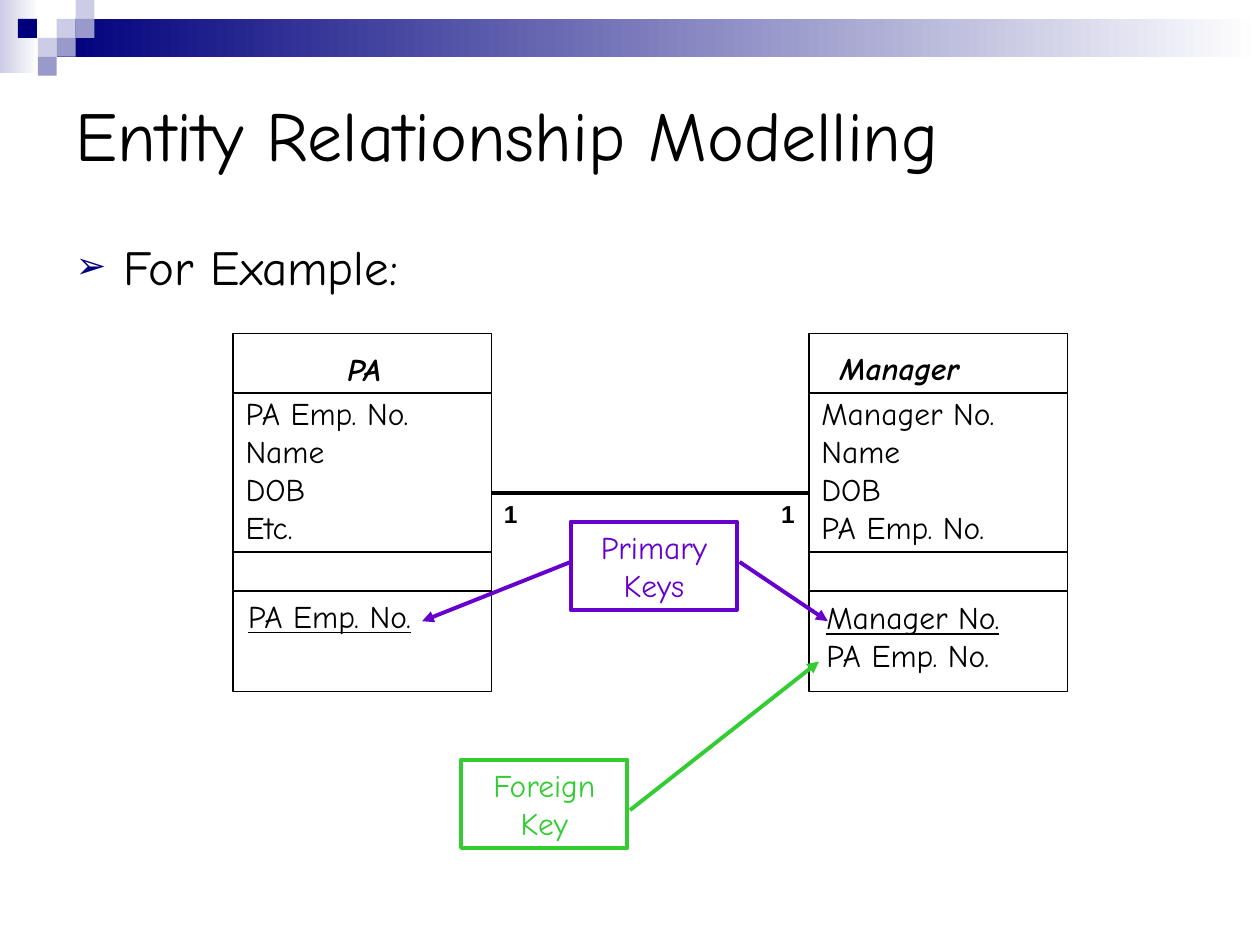
import pptx
import pptx.util
import pptx.dml.color
import pptx.enum.shapes
import pptx.enum.text
import pptx.oxml
import pptx.oxml.ns

Inches = pptx.util.Inches
Pt = pptx.util.Pt
RGBColor = pptx.dml.color.RGBColor
RECTANGLE = pptx.enum.shapes.MSO_SHAPE.RECTANGLE
ALIGN = pptx.enum.text.PP_ALIGN
ANCHOR = pptx.enum.text.MSO_ANCHOR

BLACK = RGBColor(0x00, 0x00, 0x00)
WHITE = RGBColor(0xFF, 0xFF, 0xFF)
NAVY = RGBColor(0x00, 0x00, 0x7D)
LAVENDER = RGBColor(0xCC, 0xCC, 0xE6)
PERIWINKLE = RGBColor(0x99, 0x99, 0xCC)
PURPLE = RGBColor(0x66, 0x00, 0xCC)
GREEN = RGBColor(0x33, 0xCC, 0x33)

HAND_FONT = "Comic Neue"
TILE = 0.15
ENTITY_TOP, ENTITY_WIDTH, ENTITY_HEIGHT = 2.65, 2.05, 2.84
DIVIDERS = (3.12, 4.38, 4.69)


def place(shape, left, top, width, height):
    shape.left, shape.top = Inches(left), Inches(top)
    shape.width, shape.height = Inches(width), Inches(height)


def add_xml(parent, tag, **attributes):
    child = pptx.oxml.parse_xml(f'<{tag} {pptx.oxml.ns.nsdecls("a")}/>')
    for name, value in attributes.items():
        child.set(name, value)
    parent.append(child)
    return child


def write(paragraph, text, size=18, color=BLACK, font=HAND_FONT,
          bold=False, italic=False, underline=False):
    run = paragraph.add_run()
    run.text = text
    run.font.name = font
    run.font.size = Pt(size)
    run.font.color.rgb = color
    run.font.bold, run.font.italic = bold, italic
    run.font.underline = underline


def add_rectangle(slide, left, top, width, height):
    rectangle = slide.shapes.add_shape(
        RECTANGLE, Inches(left), Inches(top), Inches(width), Inches(height))
    rectangle.shadow.inherit = False
    return rectangle


def add_band(slide, left, top, width, height, start, end=None):
    """A borderless block, plain or fading from left to right."""
    band = add_rectangle(slide, left, top, width, height)
    band.line.fill.background()
    if end is None:
        band.fill.solid()
        band.fill.fore_color.rgb = start
    else:
        band.fill.gradient()
        band.fill.gradient_angle = 0
        for stop, color in zip(band.fill.gradient_stops, (start, end)):
            stop.color.rgb = color


def add_frame(slide, left, top, width, height, color, weight):
    frame = add_rectangle(slide, left, top, width, height)
    frame.fill.background()
    frame.line.color.rgb = color
    frame.line.width = Pt(weight)
    return frame


def add_line(slide, start, end, color=BLACK, weight=0.75, arrow=False):
    line = slide.shapes.add_connector(
        pptx.enum.shapes.MSO_CONNECTOR.STRAIGHT,
        Inches(start[0]), Inches(start[1]), Inches(end[0]), Inches(end[1]))
    line.line.color.rgb = color
    line.line.width = Pt(weight)
    if arrow:
        add_xml(line.line._get_or_add_ln(), "a:tailEnd", type="triangle")
    add_xml(line._element.spPr, "a:effectLst")


def add_label(slide, left, top, width, height, lines, wrap=True, **style):
    """A text box; each line is a text with its own extra formatting."""
    label = slide.shapes.add_textbox(
        Inches(left), Inches(top), Inches(width), Inches(height))
    frame = label.text_frame
    frame.word_wrap = wrap
    frame.auto_size = pptx.enum.text.MSO_AUTO_SIZE.SHAPE_TO_FIT_TEXT
    for index, (text, extra) in enumerate(lines):
        paragraph = frame.add_paragraph() if index else frame.paragraphs[0]
        write(paragraph, text, **style, **extra)


def add_entity(slide, left, attributes):
    add_frame(slide, left, ENTITY_TOP, ENTITY_WIDTH, ENTITY_HEIGHT, BLACK, 0.75)
    for y in DIVIDERS:
        add_line(slide, (left, y), (left + ENTITY_WIDTH, y))
    add_label(slide, left, 3.08, 1.89, 1.3, [(name, {}) for name in attributes])


def add_callout(slide, left, top, text, color):
    callout = add_frame(slide, left, top, 1.32, 0.7, color, 2.25)
    callout.text_frame.word_wrap = True
    callout.text_frame.vertical_anchor = ANCHOR.TOP
    paragraph = callout.text_frame.paragraphs[0]
    paragraph.alignment = ALIGN.CENTER
    write(paragraph, text, color=color)


def add_header_art(slide):
    add_band(slide, 0, 0, 0.31, 0.58, LAVENDER, WHITE)
    add_band(slide, 0.45, TILE, 9.55, 0.3, NAVY, WHITE)
    # Tiles by column and row of the checker grid
    for column, row, color in ((3, 1, LAVENDER), (4, 0, LAVENDER),
                               (4, 1, PERIWINKLE), (2, 2, LAVENDER),
                               (0.95, 1, NAVY), (3, 2, PERIWINKLE),
                               (2, 3, PERIWINKLE)):
        add_band(slide, column * TILE, row * TILE, TILE, TILE, color)


def fill_placeholders(slide):
    title = slide.shapes.title
    place(title, 0.5, 0.5, 9, 1.12)
    title.text_frame.vertical_anchor = ANCHOR.MIDDLE
    heading = title.text_frame.paragraphs[0]
    heading.alignment = ALIGN.LEFT
    write(heading, "Entity Relationship Modelling", size=40)

    body = slide.placeholders[1]
    place(body, 0.5, 1.78, 9.23, 0.79)
    example = body.text_frame.paragraphs[0]
    example.line_spacing = 1.1
    example.space_before = Pt(0)
    properties = example._p.get_or_add_pPr()
    properties.set("marL", str(Inches(0.38)))
    properties.set("indent", str(Inches(-0.38)))
    bullet_color = add_xml(properties, "a:buClr")
    add_xml(bullet_color, "a:srgbClr", val=str(NAVY))
    add_xml(properties, "a:buSzPct", val="75000")
    add_xml(properties, "a:buChar", char="➢")
    write(example, "For Example:", size=28)


def main():
    presentation = pptx.Presentation()
    presentation.slide_width = Inches(10)
    presentation.slide_height = Inches(7.5)
    slide = presentation.slides.add_slide(presentation.slide_layouts[1])

    add_header_art(slide)
    fill_placeholders(slide)

    # Entities with their names and keys
    add_entity(slide, 1.85, ("PA Emp. No.", "Name", "DOB", "Etc."))
    add_entity(slide, 6.42, ("Manager No.", "Name", "DOB", "PA Emp. No."))
    add_label(slide, 2.66, 2.73, 0.47, 0.4, [("PA", {})], wrap=False,
              bold=True, italic=True)
    add_label(slide, 6.57, 2.72, 1.42, 0.4, [("Manager", {})],
              bold=True, italic=True)
    primary = {"underline": True}
    add_label(slide, 1.87, 4.69, 1.51, 0.4, [("PA Emp. No.", primary)],
              wrap=False)
    add_label(slide, 6.46, 4.7, 1.58, 0.7,
              [("Manager No.", primary), ("PA Emp. No.", {})], wrap=False)

    # One-to-one relationship
    add_line(slide, (3.9, 3.91), (6.42, 3.91), weight=2.25)
    for left in (3.9, 6.1):
        add_label(slide, left, 3.91, 0.32, 0.34, [("1", {})],
                  size=14, font="Arial", bold=True)

    # Key callouts and their arrows
    add_callout(slide, 4.53, 4.14, "Primary Keys", PURPLE)
    add_callout(slide, 3.66, 6.03, "Foreign Key", GREEN)
    for start, end, color in (((4.53, 4.46), (3.35, 4.93), PURPLE),
                              ((5.87, 4.46), (6.57, 4.93), PURPLE),
                              ((5, 6.43), (6.5, 5.25), GREEN)):
        add_line(slide, start, end, color, 2.25, arrow=True)

    presentation.save("out.pptx")


if __name__ == "__main__":
    main()
